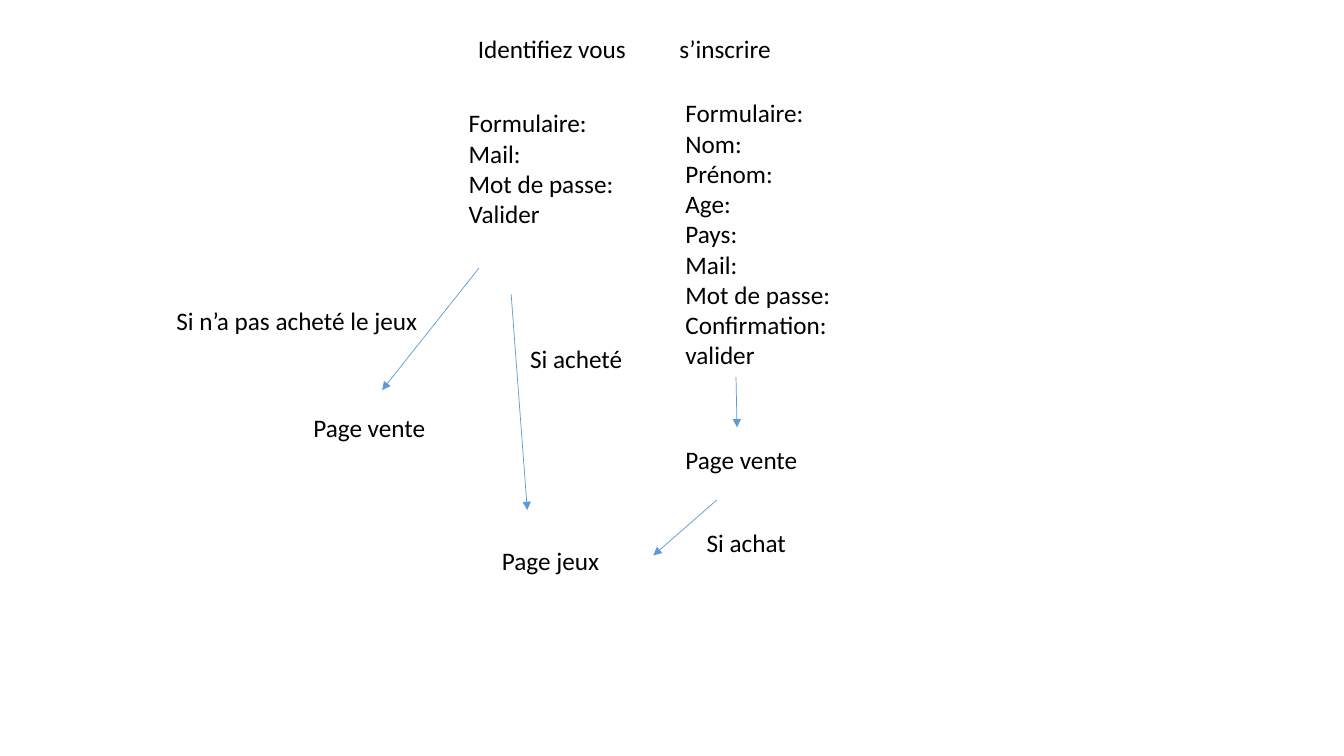
from lxml import etree
from pptx import Presentation
from pptx.dml.color import RGBColor
from pptx.enum.shapes import MSO_CONNECTOR
from pptx.enum.text import MSO_AUTO_SIZE
from pptx.oxml.ns import qn
from pptx.util import Emu, Pt

STRAIGHT = MSO_CONNECTOR.STRAIGHT
GROW = MSO_AUTO_SIZE.SHAPE_TO_FIT_TEXT
BLACK = RGBColor(0x00, 0x00, 0x00)
BLUE = RGBColor(0x5B, 0x9B, 0xD5)

PX = 9144  # EMU per px, 100 px to the inch
SLIDE_SIZE = (1333, 750)
LINE_HEIGHT = 30
BOX_PADDING = 10
TAB_WIDTH = 100
BLANK_LAYOUT = 6

# left, top, width, wraps, lines
LABELS = [
    (464, 28, 511, True, ["Identifiez vous\ts’inscrire"]),
    (670, 92, 234, True, ["Formulaire:", "Nom:", "Prénom:", "Age:", "Pays:", "Mail:",
                          "Mot de passe:", "Confirmation:", "valider"]),
    (455, 102, 175, True, ["Formulaire:", "Mail:", "Mot de passe:", "Valider"]),
    (488, 536, 130, True, ["Page jeux"]),
    (670, 436, 267, True, ["Page vente"]),
    (691, 518, 100, False, ["Si achat"]),
    (301, 404, 267, True, ["Page vente"]),
    (165, 298, 262, False, ["Si n’a pas acheté le jeux"]),
    (516, 336, 113, False, ["Si acheté"]),
]

# start x, start y, end x, end y
ARROWS = [
    (507, 292, 523, 506),
    (730, 374, 731, 424),
    (711, 496, 648, 551),
    (475, 266, 379, 387),
]

FONT = {"name": "Calibri", "size": Pt(18)}


def px(*lengths):
    return [Emu(length * PX) for length in lengths]


def add_label(slide, left, top, width, wraps, lines):
    height = len(lines) * LINE_HEIGHT + BOX_PADDING
    frame = slide.shapes.add_textbox(*px(left, top, width, height)).text_frame
    frame.word_wrap = wraps
    frame.auto_size = GROW
    frame.text = "\n".join(lines)
    for paragraph in frame.paragraphs:
        paragraph._p.get_or_add_pPr().set("defTabSz", str(TAB_WIDTH * PX))
        font = paragraph.runs[0].font
        for attribute, value in FONT.items():
            setattr(font, attribute, value)
        font.color.rgb = BLACK


def add_arrow(slide, *ends):
    arrow = slide.shapes.add_connector(STRAIGHT, *px(*ends))
    arrow.line.color.rgb = BLUE
    arrow.line.width = Pt(0.5)
    etree.SubElement(arrow.line._get_or_add_ln(), qn("a:tailEnd"), type="triangle")
    etree.SubElement(arrow._element.spPr, qn("a:effectLst"))


def main():
    deck = Presentation()
    deck.slide_width, deck.slide_height = px(*SLIDE_SIZE)
    slide = deck.slides.add_slide(deck.slide_layouts[BLANK_LAYOUT])
    for label in LABELS:
        add_label(slide, *label)
    for ends in ARROWS:
        add_arrow(slide, *ends)
    deck.save("out.pptx")


if __name__ == "__main__":
    main()
